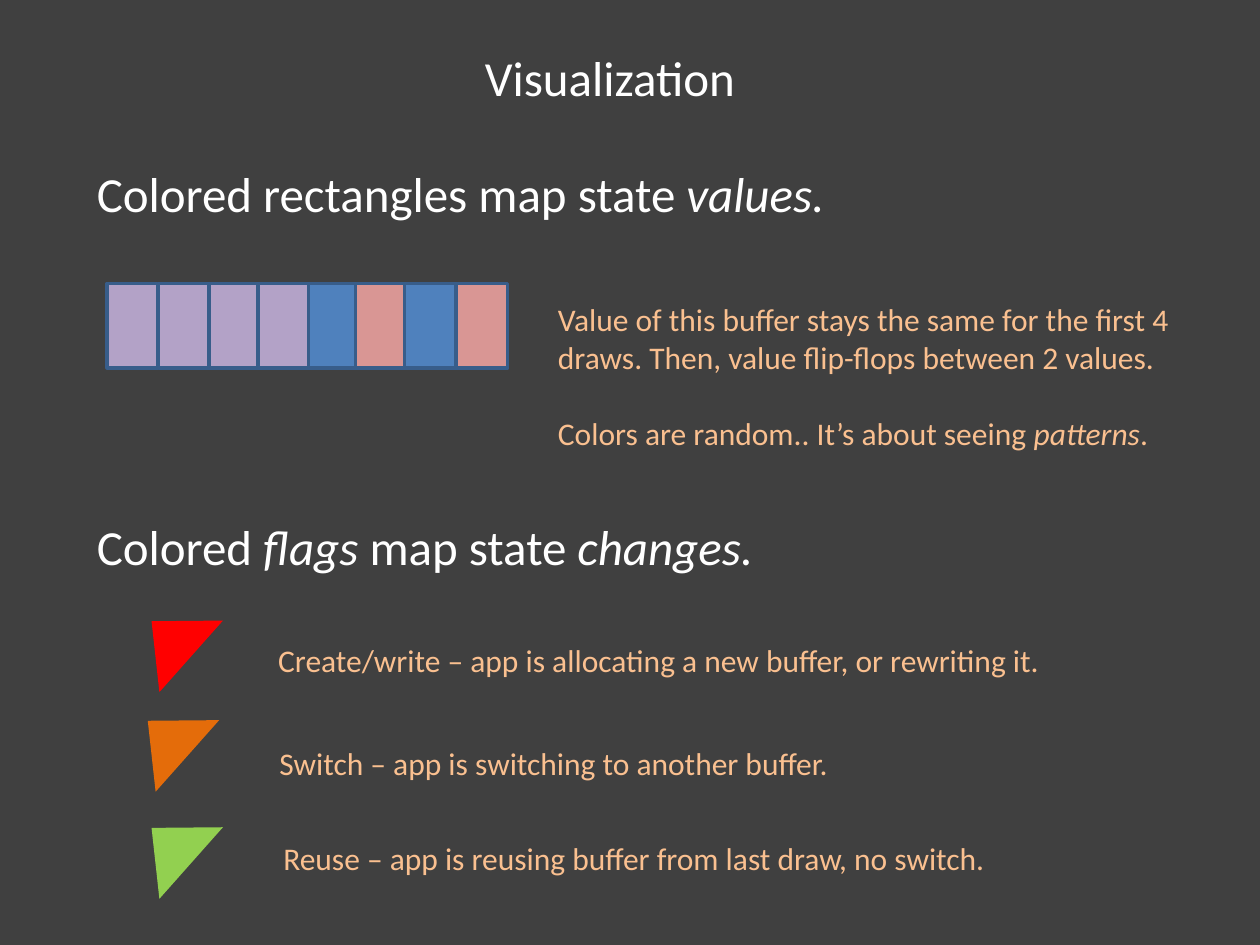
import pptx
import pptx.dml.color
import pptx.enum.shapes
import pptx.enum.text
import pptx.util

Inches, Pt = pptx.util.Inches, pptx.util.Pt
SHAPES = pptx.enum.shapes.MSO_SHAPE

BACKGROUND, WHITE, PEACH, CELL_BORDER = "404040", "FFFFFF", "FAC090", "385D8A"
PURPLE, BLUE, PINK = "B3A2C7", "4F81BD", "D99694"

# left, top, width, height, paragraphs of (text, italic) runs
HEADINGS = [
    (3.75, 0.33, 2.42, 0.57, [[("Visualization", False)]]),
    (0.67, 1.25, 7.56, 0.57, [[("Colored rectangles map state ", False), ("values.", True)]]),
    (0.67, 4.05, 5.97, 0.57, [[("Colored ", False), ("flags ", True),
                               ("map state ", False), ("changes.", True)]]),
]
BUFFER_NOTE = (4.33, 2.33, 5.08, 1.6, [
    [("Value of this buffer stays the same for the first 4 draws. "
      "Then, value flip-flops between 2 values.", False)],
    [("Colors are random.. It’s about seeing ", False), ("patterns", True), (".", False)],
])

# left, width, colour, from back to front
BUFFER_CELLS = [
    (2.42, 0.41, BLUE), (2.82, 0.41, PINK), (3.21, 0.41, BLUE), (3.62, 0.41, PINK),
    (0.85, 0.4, PURPLE), (1.26, 0.4, PURPLE), (1.66, 0.4, PURPLE), (2.05, 0.4, PURPLE),
]
CELL_TOP, CELL_HEIGHT = 2.25, 0.67

# flag left, flag top, colour, text left, text top, text width, text
FLAGS = [
    (0.98, 4.86, "FF0000", 2.11, 5.04, 7,
     "Create/write – app is allocating a new buffer, or rewriting it."),
    (0.95, 5.65, "E46C0A", 2.12, 5.86, 7, "Switch – app is switching to another buffer."),
    (0.98, 6.5, "92D050", 2.15, 6.61, 5.96,
     "Reuse – app is reusing buffer from last draw, no switch."),
]
FLAG_WIDTH, FLAG_HEIGHT, FLAG_ROTATION = 0.76, 0.42, 311.6


def color(hex_string):
    return pptx.dml.color.RGBColor.from_string(hex_string)


def add_text(slide, left, top, width, height, paragraphs, size, text_color):
    box = slide.shapes.add_textbox(Inches(left), Inches(top), Inches(width), Inches(height))
    frame = box.text_frame
    frame.word_wrap = True
    frame.auto_size = pptx.enum.text.MSO_AUTO_SIZE.SHAPE_TO_FIT_TEXT
    for index, runs in enumerate(paragraphs):
        paragraph = frame.add_paragraph() if index else frame.paragraphs[0]
        if index:
            paragraph.space_before = Pt(22)
        for text, italic in runs:
            run = paragraph.add_run()
            run.text = text
            run.font.name = "Calibri"
            run.font.size = Pt(size)
            run.font.italic = italic
            run.font.color.rgb = color(text_color)


def add_filled_shape(slide, kind, left, top, width, height, fill):
    shape = slide.shapes.add_shape(kind, Inches(left), Inches(top), Inches(width), Inches(height))
    shape.shadow.inherit = False
    shape.fill.solid()
    shape.fill.fore_color.rgb = color(fill)
    shape.line.fill.background()
    return shape


def main():
    presentation = pptx.Presentation()
    presentation.slide_width, presentation.slide_height = Inches(10), Inches(7.5)
    slide = presentation.slides.add_slide(presentation.slide_layouts[6])
    slide.background.fill.solid()
    slide.background.fill.fore_color.rgb = color(BACKGROUND)

    for heading in HEADINGS:
        add_text(slide, *heading, 28, WHITE)

    for left, width, fill in BUFFER_CELLS:
        cell = add_filled_shape(slide, SHAPES.RECTANGLE, left, CELL_TOP, width, CELL_HEIGHT, fill)
        cell.line.color.rgb = color(CELL_BORDER)
        cell.line.width = Pt(2)
    add_text(slide, *BUFFER_NOTE, 18, PEACH)

    for left, top, fill, text_left, text_top, text_width, text in FLAGS:
        flag = add_filled_shape(slide, SHAPES.ISOSCELES_TRIANGLE, left, top,
                                FLAG_WIDTH, FLAG_HEIGHT, fill)
        flag.rotation = FLAG_ROTATION
        add_text(slide, text_left, text_top, text_width, 0.4, [[(text, False)]], 18, PEACH)

    presentation.save("out.pptx")


if __name__ == "__main__":
    main()
